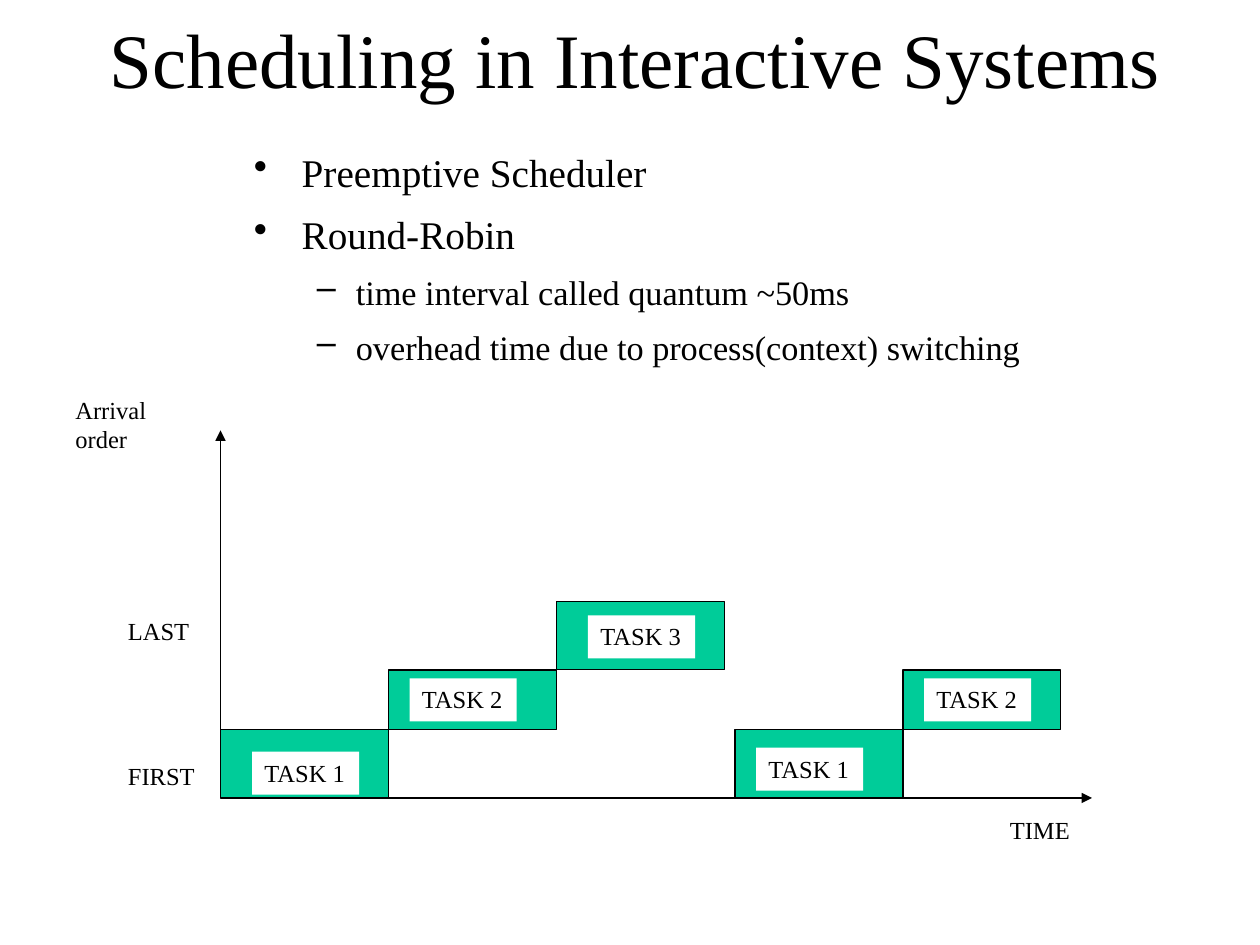
"""Build the round-robin scheduling slide with its task timeline."""
import dataclasses

import lxml.etree
import pptx
import pptx.dml.color
import pptx.enum.shapes
import pptx.enum.text
import pptx.oxml.ns
import pptx.util

Align = pptx.enum.text.PP_ALIGN
Anchor = pptx.enum.text.MSO_ANCHOR
AutoSize = pptx.enum.text.MSO_AUTO_SIZE
qn = pptx.oxml.ns.qn


@dataclasses.dataclass(frozen=True)
class Theme:
    font: str = "Times New Roman"
    ink: str = "000000"
    paper: str = "FFFFFF"
    task: str = "00CC99"
    title_size: float = 44
    level_sizes: tuple = (22.4, 19.6)
    label_size: float = 14
    line_width: float = 0.75


class SlideBuilder:
    columns, rows = 120, 90
    bullets = (("•", 0.38, -0.38, 9), ("–", 0.81, -0.31, 7.7))

    def __init__(self, deck, theme):
        self.theme = theme
        self.cell_width = deck.slide_width / self.columns
        self.cell_height = deck.slide_height / self.rows
        self.slide = deck.slides.add_slide(deck.slide_layouts[5])

    def place(self, column, row, width, height):
        return (round(column * self.cell_width), round(row * self.cell_height),
                round(width * self.cell_width), round(height * self.cell_height))

    def color(self, value):
        return pptx.dml.color.RGBColor.from_string(value)

    def add_text(self, paragraph, text, size):
        run = paragraph.add_run()
        run.text = text
        run.font.name = self.theme.font
        run.font.size = pptx.util.Pt(size)
        run.font.color.rgb = self.color(self.theme.ink)

    def title(self, text, area):
        heading = self.slide.shapes.title
        heading.left, heading.top, heading.width, heading.height = self.place(*area)
        frame = heading.text_frame
        frame.vertical_anchor = Anchor.MIDDLE
        frame.auto_size = AutoSize.NONE
        frame.paragraphs[0].alignment = Align.CENTER
        self.add_text(frame.paragraphs[0], text, self.theme.title_size)

    def outline(self, points, area):
        frame = self.slide.shapes.add_textbox(*self.place(*area)).text_frame
        frame.word_wrap = True
        frame.margin_top = pptx.util.Inches(0.09)
        for index, (level, text) in enumerate(points):
            point = frame.paragraphs[0] if index == 0 else frame.add_paragraph()
            mark, margin, indent, gap = self.bullets[level]
            point.level = level
            point.space_before = pptx.util.Pt(gap if index else 0)
            properties = point._p.get_or_add_pPr()
            properties.set("marL", str(pptx.util.Inches(margin)))
            properties.set("indent", str(pptx.util.Inches(indent)))
            tint = lxml.etree.SubElement(properties, qn("a:buClr"))
            lxml.etree.SubElement(tint, qn("a:srgbClr"), val=self.theme.ink)
            lxml.etree.SubElement(properties, qn("a:buChar"), char=mark)
            self.add_text(point, text, self.theme.level_sizes[level])

    def axis(self, start, end):
        arrow = self.slide.shapes.add_connector(
            pptx.enum.shapes.MSO_CONNECTOR.STRAIGHT, *self.place(*start, *end))
        arrow.line.color.rgb = self.color(self.theme.ink)
        arrow.line.width = pptx.util.Pt(self.theme.line_width)
        properties = arrow._element.spPr
        lxml.etree.SubElement(properties.get_or_add_ln(), qn("a:tailEnd"), type="triangle")
        lxml.etree.SubElement(properties, qn("a:effectLst"))

    def block(self, area):
        bar = self.slide.shapes.add_shape(
            pptx.enum.shapes.MSO_SHAPE.RECTANGLE, *self.place(*area))
        bar.shadow.inherit = False
        bar.fill.solid()
        bar.fill.fore_color.rgb = self.color(self.theme.task)
        bar.line.color.rgb = self.color(self.theme.ink)
        bar.line.width = pptx.util.Pt(self.theme.line_width)

    def label(self, text, column, row, width, filled=False):
        caption = self.slide.shapes.add_textbox(*self.place(column, row, width, 4.1))
        if filled:
            caption.fill.solid()
            caption.fill.fore_color.rgb = self.color(self.theme.paper)
        frame = caption.text_frame
        frame.word_wrap = False
        frame.auto_size = AutoSize.SHAPE_TO_FIT_TEXT
        self.add_text(frame.paragraphs[0], text, self.theme.label_size)


def main():
    deck = pptx.Presentation()
    deck.slide_width = pptx.util.Inches(10)
    deck.slide_height = pptx.util.Inches(7.5)
    builder = SlideBuilder(deck, Theme())

    builder.title("Scheduling in Interactive Systems", (7, 2, 107, 7))
    builder.outline([
        (0, "Preemptive Scheduler"),
        (0, "Round-Robin"),
        (1, "time interval called quantum ~50ms"),
        (1, "overhead time due to process(context) switching"),
    ], (23, 13, 91, 22))

    origin = (21, 76)
    for end in ((21, 41), (104, 76)):
        builder.axis(origin, end)

    lanes = {1: (69.5, 6.5), 2: (63.8, 5.7), 3: (57.3, 6.5)}
    turns = [
        (1, 21, 16, 24, 71.6),
        (2, 37, 16, 39, 64.6),
        (3, 53, 16, 56, 58.6),
        (1, 70, 16, 72, 71.2),
        (2, 86, 15, 88, 64.6),
    ]
    for task, column, width, _, _ in turns:
        top, height = lanes[task]
        builder.block((column, top, width, height))
    for task, _, _, column, row in turns:
        builder.label(f"TASK {task}", column, row, 10.2, filled=True)

    builder.label("LAST", 11, 58.1, 8.3)
    builder.label("FIRST", 11, 71.9, 8.8)
    builder.label("Arrival order", 6, 37, 14.6)
    builder.label("TIME", 95, 77, 8.2)
    deck.save("out.pptx")


if __name__ == "__main__":
    main()
